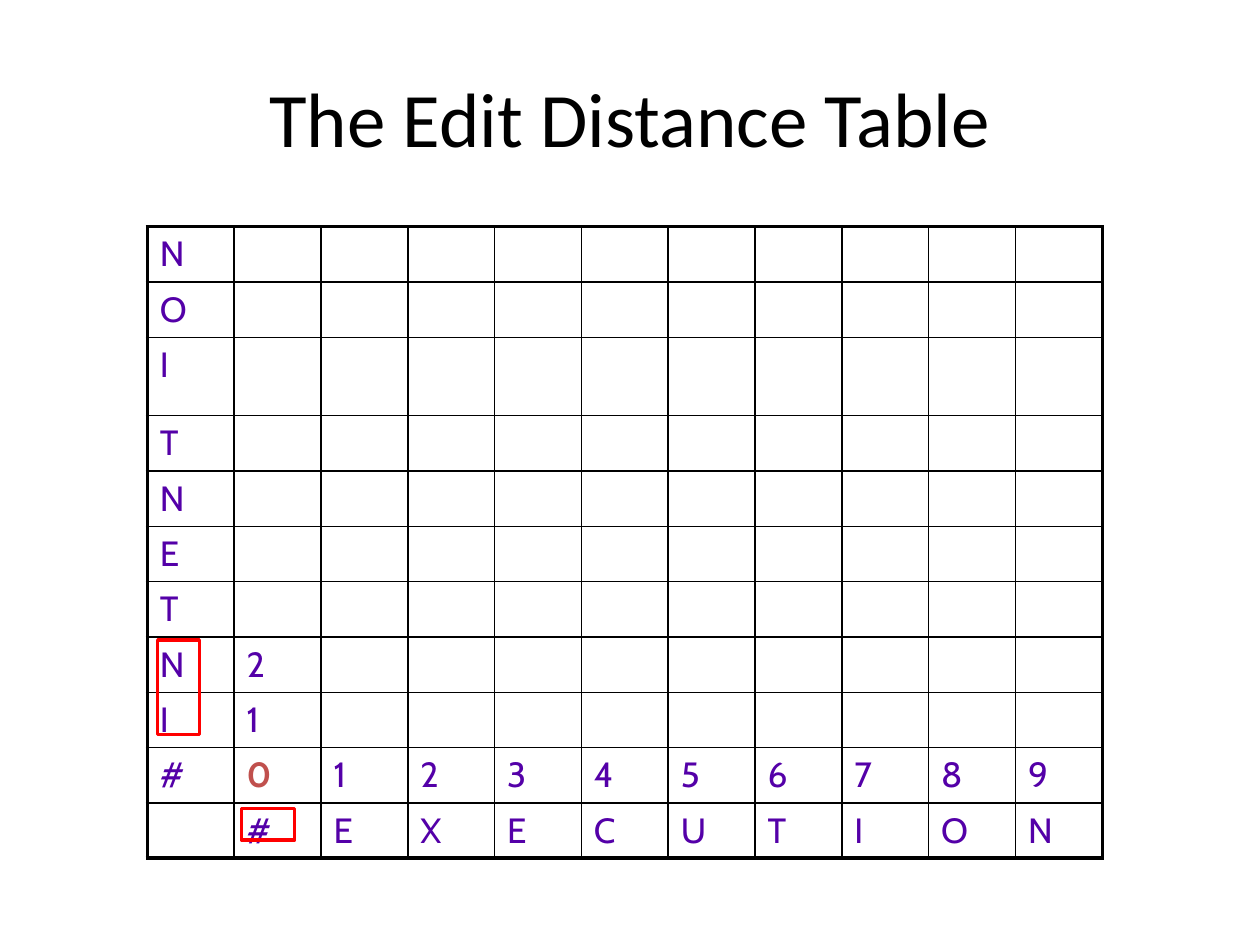
from dataclasses import dataclass

from lxml import etree
from pptx import Presentation
from pptx.dml.color import RGBColor
from pptx.enum.shapes import MSO_SHAPE
from pptx.enum.text import MSO_ANCHOR, PP_ALIGN
from pptx.oxml.ns import qn
from pptx.util import Cm, Pt

RECTANGLE = MSO_SHAPE.RECTANGLE
MIDDLE = MSO_ANCHOR.MIDDLE
CENTER = PP_ALIGN.CENTER
TITLE_ONLY = 5


@dataclass(frozen=True)
class Theme:
    title_font: str = "Calibri"
    cell_font: str = "Cabin"
    title_size: float = 44
    cell_size: float = 20
    black: str = "000000"
    letter: str = "5400A8"
    origin: str = "C0504D"
    marker: str = "FF0000"
    inner_line: float = 1
    outer_line: float = 2.25
    marker_line: float = 2


@dataclass(frozen=True)
class Box:
    left: float
    top: float
    width: float
    height: float

    def lengths(self) -> tuple:
        return Cm(self.left), Cm(self.top), Cm(self.width), Cm(self.height)


THEME = Theme()
TITLE_BOX = Box(1.27, 0.76, 22.86, 3.18)
MARKERS = [Box(3.18, 12.9, 0.84, 1.91), Box(4.87, 16.3, 1.07, 0.64)]

# Edit distance grid: source word read upwards, target word along the bottom
SOURCE, TARGET = "INTENTION", "EXECUTION"
KNOWN = {"N": "2", "I": "1"}
COLS = len(TARGET) + 2
COL_WIDTH, ROW_HEIGHT, TALL_HEIGHT = 1.75, 1.1, 1.58
TALL_ROW = 2
ROWS = [[letter] for letter in reversed(SOURCE)]
for row in ROWS[-2:]:
    row.append(KNOWN[row[0]])
ROWS.append(["#", *map(str, range(COLS - 1))])
ROWS.append(["", "#", *TARGET])
ORIGIN = (len(ROWS) - 2, 1)
TABLE_BOX = Box(2.97, 4.57, COLS * COL_WIDTH, (len(ROWS) - 1) * ROW_HEIGHT + TALL_HEIGHT)


def style_font(font, name: str, size: float, color: str, bold: bool = False) -> None:
    font.name = name
    font.size = Pt(size)
    font.bold = bold
    font.color.rgb = RGBColor.from_string(color)


def add_border(cell, side: str, width: float) -> None:
    tc_pr = cell._tc.get_or_add_tcPr()
    ln = etree.SubElement(tc_pr, qn(f"a:ln{side}"), w=str(Pt(width)))
    fill = etree.SubElement(ln, qn("a:solidFill"))
    etree.SubElement(fill, qn("a:srgbClr"), val=THEME.black)


def fill_cell(cell, text: str, color: str, bold: bool) -> None:
    cell.text_frame.text = text
    p = cell.text_frame.paragraphs[0]
    # Space before, relative to the type size
    before = etree.SubElement(p._p.get_or_add_pPr(), qn("a:spcBef"))
    etree.SubElement(before, qn("a:spcPct"), val="20000")
    for r in p.runs:
        style_font(r.font, THEME.cell_font, THEME.cell_size, color, bold)


def add_grid(s) -> None:
    table = s.shapes.add_table(len(ROWS), COLS, *TABLE_BOX.lengths()).table
    table.first_row = table.horz_banding = False
    for column in table.columns:
        column.width = Cm(COL_WIDTH)
    for i, values in enumerate(ROWS):
        table.rows[i].height = Cm(TALL_HEIGHT if i == TALL_ROW else ROW_HEIGHT)
        for j in range(COLS):
            cell = table.cell(i, j)
            edges = {"L": j == 0, "R": j == COLS - 1, "T": i == 0, "B": i == len(ROWS) - 1}
            for side, outer in edges.items():
                add_border(cell, side, THEME.outer_line if outer else THEME.inner_line)
            cell.fill.background()
            if j < len(values) and values[j]:
                is_origin = (i, j) == ORIGIN
                fill_cell(cell, values[j], THEME.origin if is_origin else THEME.letter, is_origin)


def add_marker(s, box: Box) -> None:
    sp = s.shapes.add_shape(RECTANGLE, *box.lengths())
    sp.shadow.inherit = False
    sp.fill.background()
    sp.line.color.rgb = RGBColor.from_string(THEME.marker)
    sp.line.width = Pt(THEME.marker_line)


def set_title(s, text: str) -> None:
    sp = s.shapes.title
    sp.left, sp.top, sp.width, sp.height = TITLE_BOX.lengths()
    tf = sp.text_frame
    tf.text = text
    tf.vertical_anchor = MIDDLE
    p = tf.paragraphs[0]
    p.alignment = CENTER
    style_font(p.runs[0].font, THEME.title_font, THEME.title_size, THEME.black)


def main() -> None:
    prs = Presentation()
    prs.slide_width, prs.slide_height = Cm(25.4), Cm(19.05)
    s = prs.slides.add_slide(prs.slide_layouts[TITLE_ONLY])
    set_title(s, "The Edit Distance Table")
    add_grid(s)
    # Red frames around the compared prefixes
    for box in MARKERS:
        add_marker(s, box)
    prs.save("out.pptx")


if __name__ == "__main__":
    main()
